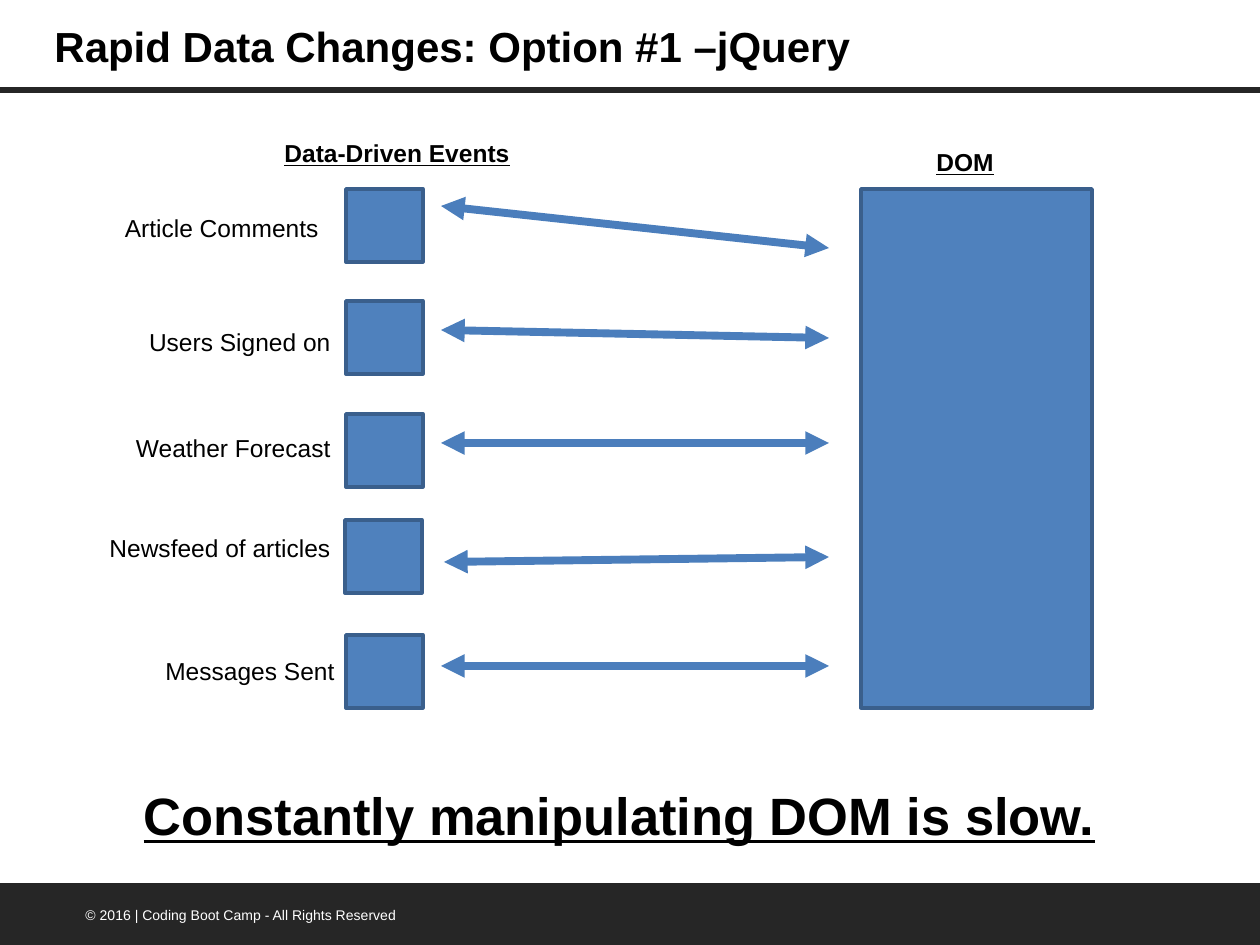
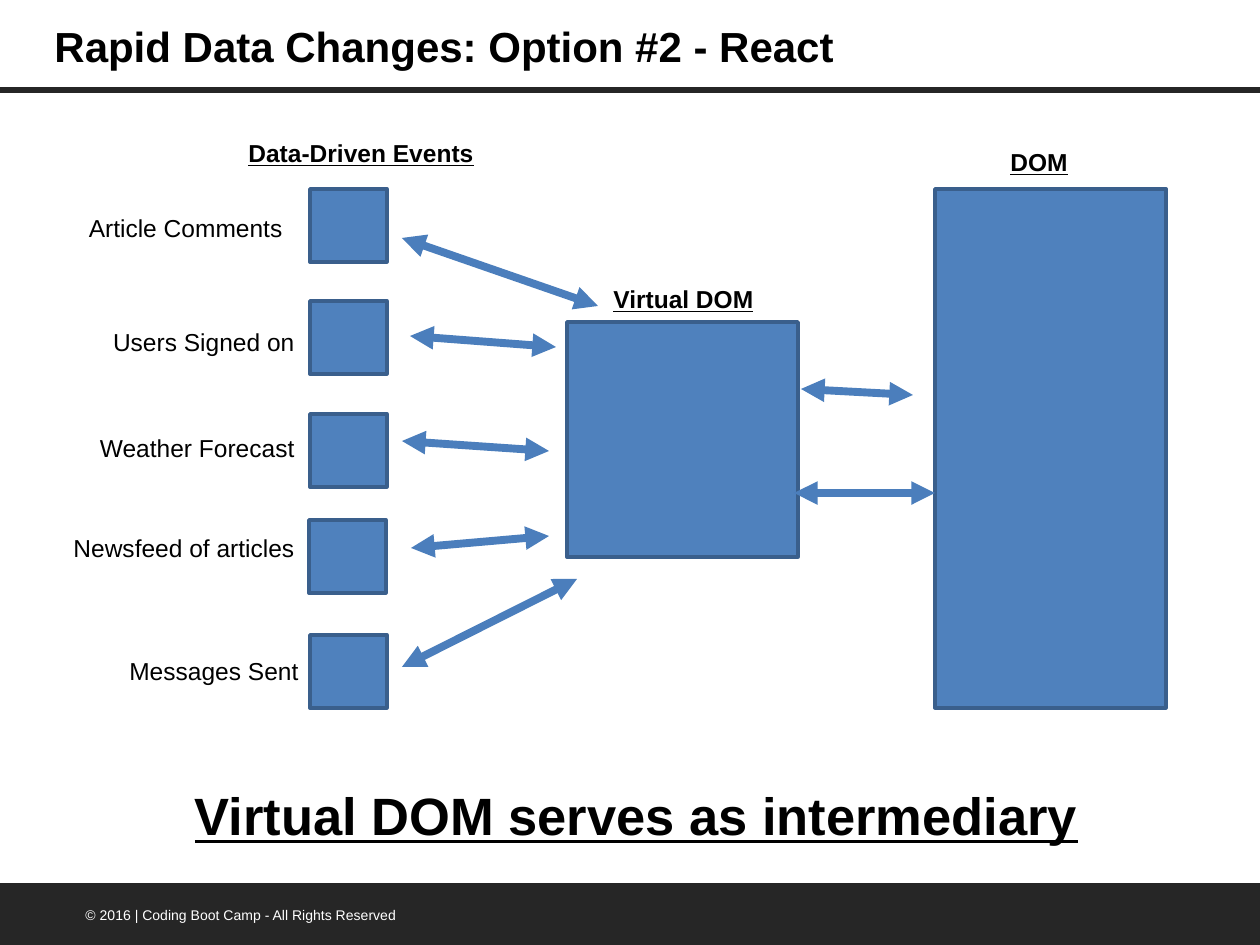
from lxml import etree
from pptx import Presentation
from pptx.dml.color import RGBColor
from pptx.enum.shapes import MSO_CONNECTOR, MSO_SHAPE
from pptx.enum.text import MSO_ANCHOR, PP_ALIGN
from pptx.oxml.ns import qn
from pptx.util import Emu, Pt

LEFT, CENTER, RIGHT = PP_ALIGN.LEFT, PP_ALIGN.CENTER, PP_ALIGN.RIGHT
TOP, MIDDLE = MSO_ANCHOR.TOP, MSO_ANCHOR.MIDDLE
RECTANGLE, PROCESS = MSO_SHAPE.RECTANGLE, MSO_SHAPE.FLOWCHART_PROCESS
STRAIGHT = MSO_CONNECTOR.STRAIGHT

BLACK = RGBColor(0x00, 0x00, 0x00)
WHITE = RGBColor(0xFF, 0xFF, 0xFF)
DARK = RGBColor(0x26, 0x26, 0x26)
BLUE = RGBColor(0x4F, 0x81, 0xBD)
BLUE_EDGE = RGBColor(0x3A, 0x5F, 0x8C)
BLUE_ARROW = RGBColor(0x4B, 0x7E, 0xBC)

PX = 914400 / 126
FONT = "Arial"
FOOTER = "© 2016 | Coding Boot Camp - All Rights Reserved"

# Event name, box top, box shift, label left, label top
EVENTS = [
    ("Article Comments", 189, 0, -12, 207),
    ("Users Signed on", 301, 0, 0, 321),
    ("Weather Forecast", 414, 0, 0, 427),
    ("Newsfeed of articles", 520, -1, 0, 527),
    ("Messages Sent", 635, 0, 4, 650),
]

# Headings are (text, left, top, width); arrows are (x1, y1, x2, y2)
SLIDES = [
    {
        "title": "Rapid Data Changes: Option #1 –jQuery",
        "events_shift": 36,
        "stores": [(861, 189, 231, 519)],
        "headings": [("Data-Driven Events", 272, 132, 257), ("DOM", 924, 141, 142)],
        "arrows": [
            (441, 206, 829, 248),
            (441, 330, 829, 338),
            (441, 443, 829, 443),
            (444, 562, 829, 557),
            (441, 666, 829, 666),
        ],
        "message": ("Constantly manipulating DOM is slow.", 42, 1155),
    },
    {
        "title": "Rapid Data Changes: Option #2 - React",
        "events_shift": 0,
        "stores": [(935, 189, 231, 519), (567, 322, 231, 235)],
        "headings": [
            ("Data-Driven Events", 236, 132, 257),
            ("DOM", 998, 141, 142),
            ("Virtual DOM", 601, 278, 179),
        ],
        "arrows": [
            (402, 238, 598, 306),
            (410, 336, 556, 347),
            (402, 441, 549, 451),
            (411, 548, 549, 536),
            (402, 667, 577, 579),
            (801, 389, 913, 395),
            (794, 493, 935, 493),
        ],
        "message": ("Virtual DOM serves as intermediary", 151, 971),
    },
]


def px(*lengths):
    return [Emu(round(length * PX)) for length in lengths]


def add_text(slide, text, box, size, color=BLACK, bold=False, underline=False,
             align=LEFT, anchor=TOP):
    frame = slide.shapes.add_textbox(*px(*box)).text_frame
    frame.word_wrap = True
    frame.vertical_anchor = anchor
    paragraph = frame.paragraphs[0]
    paragraph.text = text
    paragraph.alignment = align
    font = paragraph.font
    font.name, font.size, font.bold, font.underline = FONT, Pt(size), bold, underline
    font.color.rgb = color


presentation = Presentation()
presentation.slide_width, presentation.slide_height = px(1260, 945)

for content in SLIDES:
    slide = presentation.slides.add_slide(presentation.slide_layouts[6])
    shift = content["events_shift"]

    # Title, footer band and the rule under the title
    footer = slide.shapes.add_shape(PROCESS, *px(-1, 883, 1261, 63))
    footer.shadow.inherit = False
    footer.fill.solid()
    footer.fill.fore_color.rgb = DARK
    footer.line.fill.background()
    add_text(slide, FOOTER, (73, 900, 384, 30), 8, WHITE)
    add_text(slide, content["title"], (42, 0, 1102, 91), 24, bold=True, anchor=MIDDLE)

    # Event boxes and DOM boxes
    boxes = [(310 + shift + nudge, top, 77, 73) for _, top, nudge, _, _ in EVENTS]
    for box in boxes + content["stores"]:
        shape = slide.shapes.add_shape(RECTANGLE, *px(*box))
        shape.shadow.inherit = False
        shape.fill.solid()
        shape.fill.fore_color.rgb = BLUE
        shape.line.color.rgb = BLUE_EDGE
        shape.line.width = Pt(2)

    # Labels, headings and closing message
    for name, _, _, left, top in EVENTS:
        add_text(slide, name, (left + shift, top, 307, 43), 14, align=RIGHT)
    for heading, left, top, width in content["headings"]:
        add_text(slide, heading, (left, top, width, 43), 14, bold=True, underline=True)
    message, left, width = content["message"]
    add_text(slide, message, (left, 777, width, 77), 30, bold=True, underline=True,
             align=CENTER)

    # Title rule and two-headed arrows
    lines = [((0, 90, 1260, 90), DARK, 3.25, False)]
    lines += [(ends, BLUE_ARROW, 4.5, True) for ends in content["arrows"]]
    for ends, color, weight, has_heads in lines:
        connector = slide.shapes.add_connector(STRAIGHT, *px(*ends))
        connector.line.color.rgb = color
        connector.line.width = Pt(weight)
        if has_heads:
            line = connector.line._get_or_add_ln()
            for end in ("a:headEnd", "a:tailEnd"):
                etree.SubElement(line, qn(end), type="triangle")
        etree.SubElement(connector._element.spPr, qn("a:effectLst"))

presentation.save("out.pptx")
